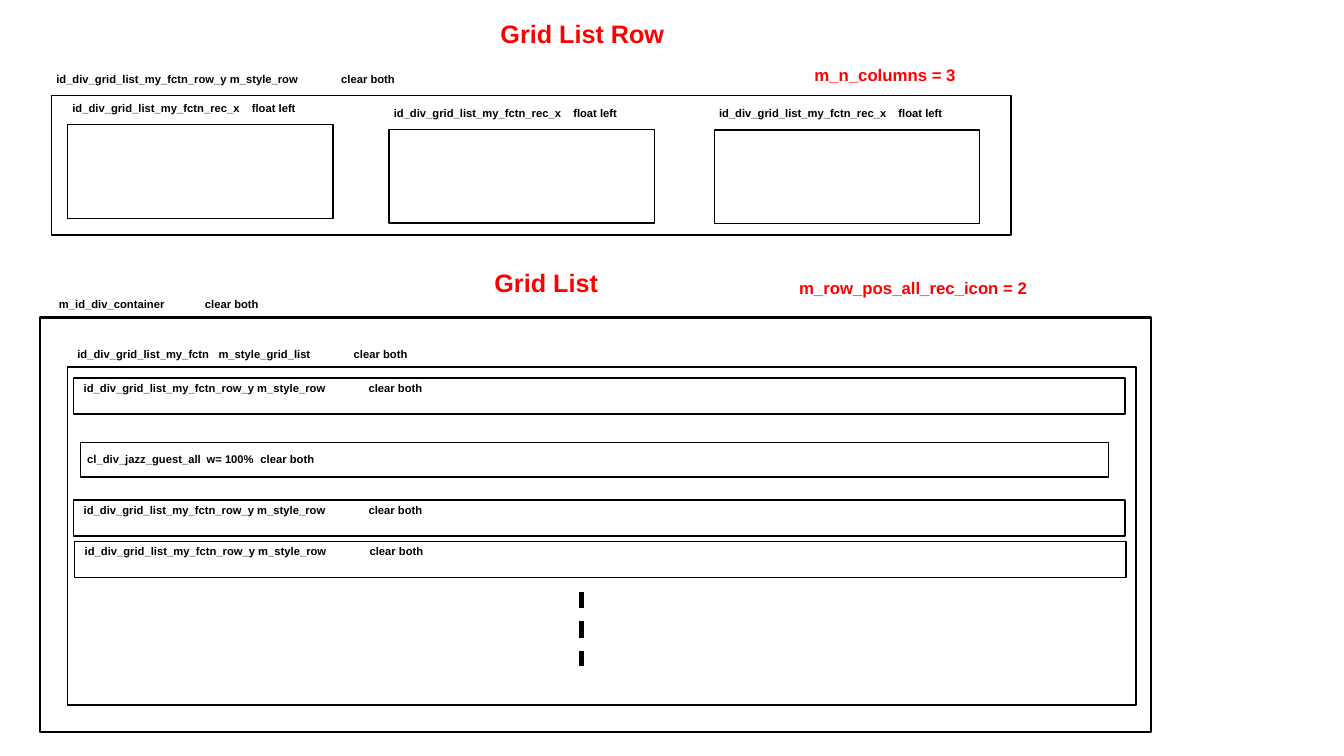
from pptx import Presentation
from pptx.dml.color import RGBColor
from pptx.enum.dml import MSO_LINE
from pptx.enum.shapes import MSO_CONNECTOR, MSO_SHAPE
from pptx.enum.text import MSO_ANCHOR, MSO_AUTO_SIZE, PP_ALIGN
from pptx.oxml.ns import qn
from pptx.util import Pt
from lxml import etree

RECT = MSO_SHAPE.RECTANGLE
LINE = MSO_CONNECTOR.STRAIGHT
DASH = MSO_LINE.DASH
TOP = MSO_ANCHOR.TOP
LEFT, MID = PP_ALIGN.LEFT, PP_ALIGN.CENTER
FIXED = MSO_AUTO_SIZE.NONE
BLACK, RED = "000000", "FF0000"
ROW = "id_div_grid_list_my_fctn_row_y m_style_row"
REC = "id_div_grid_list_my_fctn_rec_x"
CLEAR = "clear both"


def paint(target, color):
    """Set a font or line colour from a hex string."""
    target.color.rgb = RGBColor.from_string(color)


def write(shape, parts, size, color, align, stops=()):
    """Fill a shape with bold runs, set apart by tab stops."""
    frame = shape.text_frame
    frame.word_wrap = True
    frame.auto_size = FIXED
    frame.vertical_anchor = TOP
    frame.margin_left = frame.margin_right = Pt(7.2)
    frame.margin_top = frame.margin_bottom = Pt(3.6)
    para = frame.paragraphs[0]
    para.alignment = align
    para.line_spacing = 1
    para.space_before = Pt(0)
    if stops:
        tabs = etree.SubElement(para._p.get_or_add_pPr(), qn("a:tabLst"))
        for stop in stops:
            etree.SubElement(tabs, qn("a:tab"), pos=str(Pt(stop)), algn="l")
    for i, part in enumerate(parts):
        run = para.add_run()
        run.text = "\t" + part if i else part
        font = run.font
        font.name, font.size, font.bold = "Arial", Pt(size), True
        paint(font, color)


def add_box(slide, x, y, w, h, weight=1):
    """Draw an unfilled outlined box."""
    box = slide.shapes.add_shape(RECT, Pt(x), Pt(y), Pt(w), Pt(h))
    box.shadow.inherit = False
    box.fill.background()
    paint(box.line, BLACK)
    box.line.width = Pt(weight)


def add_label(slide, x, y, w, parts, stops):
    """Add a small black label."""
    box = slide.shapes.add_textbox(Pt(x), Pt(y), Pt(w), Pt(17))
    write(box, parts, 8, BLACK, LEFT, stops)


def add_head(slide, x, y, w, h, text, size):
    """Add a centred red heading."""
    box = slide.shapes.add_textbox(Pt(x), Pt(y), Pt(w), Pt(h))
    write(box, [text], size, RED, MID)


def add_title(slide, x, y, w, h, text):
    """Place and format the title placeholder."""
    title = slide.shapes.title
    title.left, title.top = Pt(x), Pt(y)
    title.width, title.height = Pt(w), Pt(h)
    write(title, [text], 18, RED, MID)


def add_dash(slide, x, top, end):
    """Draw a vertical dashed line."""
    line = slide.shapes.add_connector(LINE, Pt(x), Pt(top), Pt(x), Pt(end))
    paint(line.line, BLACK)
    line.line.width = Pt(3)
    line.line.dash_style = DASH
    etree.SubElement(line._element.spPr, qn("a:effectLst"))


def add_row(slide):
    """Draw the upper diagram: one row with its records."""
    add_title(slide, 309.5, 9.4, 213, 29, "Grid List Row")
    add_head(slide, 553.7, 42.5, 157, 22, "m_n_columns = 3", 12)
    add_label(slide, 33.1, 48.2, 356, [ROW, CLEAR], [203.5])
    add_box(slide, 36.7, 68.4, 685.4, 99.4)
    for x, y in ((48.4, 89), (278, 92.4), (510.3, 92.9)):
        add_box(slide, x, y, 189.4, 67)
        add_label(slide, x - 3.8, y - 20.3, 215, [REC, "float left"], [128.2])


def add_list(slide):
    """Draw the lower diagram: the container with its rows."""
    add_head(slide, 283.7, 187.2, 213, 29, "Grid List", 18)
    add_head(slide, 553.7, 195.1, 197.3, 22, "m_row_pos_all_rec_icon = 2", 12)
    add_label(slide, 35, 208.8, 198, ["m_id_div_container", CLEAR], [104.3])
    add_box(slide, 28.6, 226.8, 793.4, 295.9, 1.75)
    grid = ["id_div_grid_list_my_fctn", "m_style_grid_list", CLEAR]
    add_label(slide, 48.2, 244.8, 356, grid, [100.8, 197.4])
    add_box(slide, 48.4, 262.1, 763.2, 241.4)
    for x, y in ((52.7, 270), (52.7, 357.1), (53.4, 386.7)):
        add_box(slide, x, y, 751, 25.9)
        add_label(slide, x, y - 1.4, 356, [ROW, CLEAR], [203.5])
    add_box(slide, 57.5, 316.2, 734.4, 24.5)
    guest = ["cl_div_jazz_guest_all", "w= 100%", CLEAR]
    add_label(slide, 55.2, 319.7, 206, guest, [85.3, 123.8])
    add_dash(slide, 415.4, 422.6, 475.9)


def main():
    """Build and save the slide."""
    deck = Presentation()
    deck.slide_width, deck.slide_height = Pt(960), Pt(540)
    slide = deck.slides.add_slide(deck.slide_layouts[5])
    add_row(slide)
    add_list(slide)
    deck.save("out.pptx")


if __name__ == "__main__":
    main()
